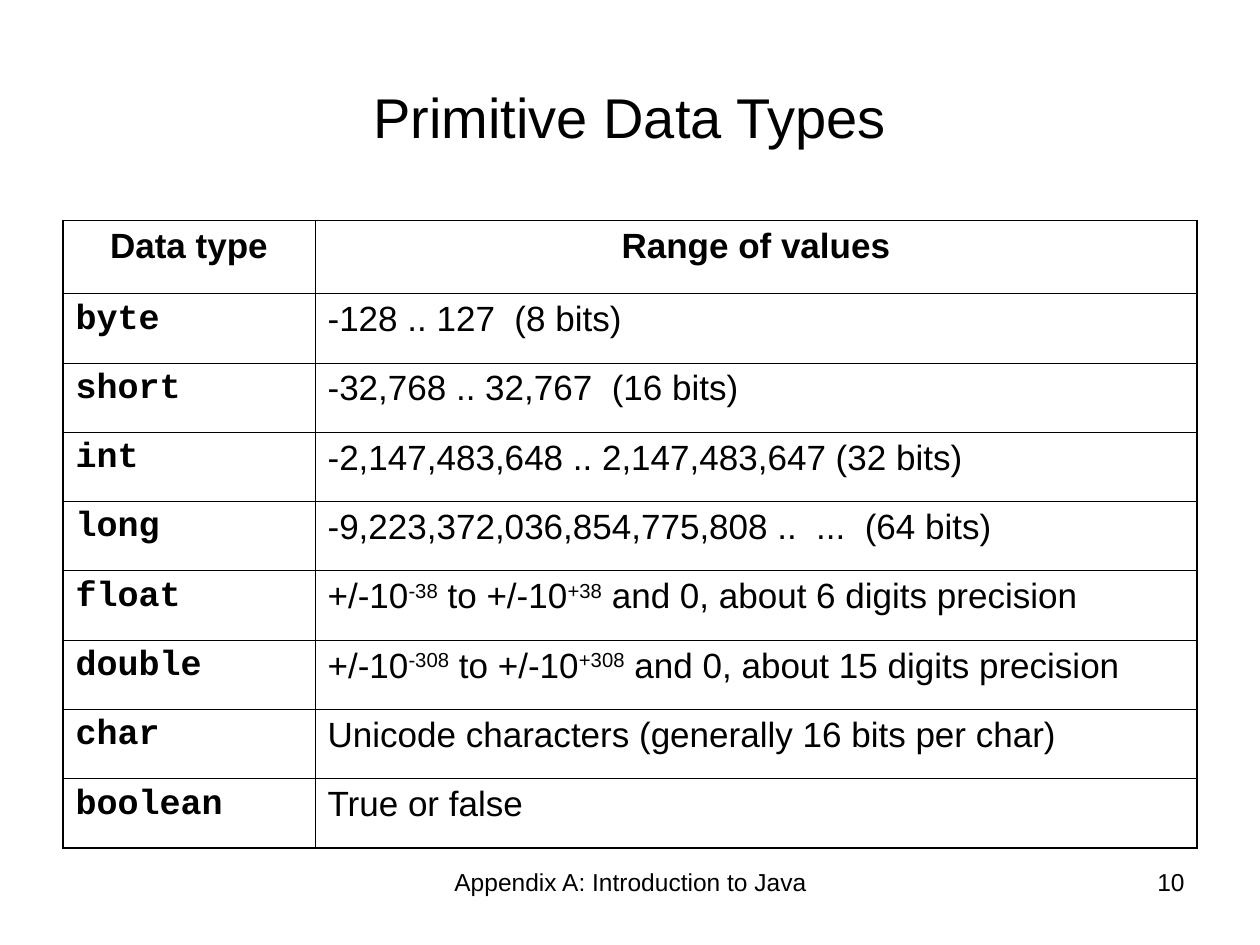
from dataclasses import dataclass

from lxml.etree import SubElement
from pptx import Presentation
from pptx.dml.color import RGBColor
from pptx.enum.text import MSO_ANCHOR, PP_ALIGN
from pptx.oxml.ns import qn
from pptx.util import Inches, Pt


@dataclass(frozen=True)
class Theme:
    ink: str = "000000"
    paper: str = "FFFFFF"
    body_font: str = "Arial"
    code_font: str = "Courier New"
    title_size: int = 32
    table_size: int = 20
    footer_size: int = 14
    outer_line: float = 1.08
    inner_line: float = 0.45


THEME = Theme()
HEADINGS = ("Data type", "Range of values")
# Text between carets is superscript.
DATA_TYPES = [
    ("byte", "-128 .. 127  (8 bits)"),
    ("short", "-32,768 .. 32,767  (16 bits)"),
    ("int", "-2,147,483,648 .. 2,147,483,647 (32 bits)"),
    ("long", "-9,223,372,036,854,775,808 ..  ...  (64 bits)"),
    ("float", "+/-10^-38^ to +/-10^+38^ and 0, about 6 digits precision"),
    ("double", "+/-10^-308^ to +/-10^+308^ and 0, about 15 digits precision"),
    ("char", "Unicode characters (generally 16 bits per char)"),
    ("boolean", "True or false"),
]


def write_text(frame, text, *, size, font=THEME.body_font, bold=False, align=PP_ALIGN.CENTER):
    """Fill the first paragraph; every second part between carets is raised."""
    para = frame.paragraphs[0]
    para.alignment = align
    for index, part in enumerate(text.split("^")):
        span = para.add_run()
        span.text = part
        span.font.name = font
        span.font.size = Pt(size)
        span.font.bold = bold
        span.font.color.rgb = RGBColor.from_string(THEME.ink)
        if index % 2:
            span._r.get_or_add_rPr().set("baseline", "30000")


def add_text(page, text, left, top, width, height, *, anchor=MSO_ANCHOR.TOP, **text_format):
    box = page.shapes.add_textbox(Inches(left), Inches(top), Inches(width), Inches(height))
    frame = box.text_frame
    frame.word_wrap = True
    frame.vertical_anchor = anchor
    write_text(frame, text, **text_format)


def set_borders(cell, outer_sides):
    """Draw all four borders, with the heavier line on the table's outer sides."""
    properties = cell._tc.get_or_add_tcPr()
    for side in "LRTB":
        weight = THEME.outer_line if side in outer_sides else THEME.inner_line
        line = SubElement(properties, qn(f"a:ln{side}"), w=str(Pt(weight)))
        fill = SubElement(line, qn("a:solidFill"))
        SubElement(fill, qn("a:srgbClr"), val=THEME.ink)


def add_type_table(page):
    rows = [HEADINGS, *DATA_TYPES]
    last_row = len(rows) - 1
    frame = page.shapes.add_table(
        len(rows), 2, Inches(0.5), Inches(1.75), Inches(9), Inches(4.98))
    table = frame.table
    table.first_row = False
    table.horz_banding = False
    for column, width in zip(table.columns, (2, 7)):
        column.width = Inches(width)
    for row_index, values in enumerate(rows):
        is_heading = row_index == 0
        table.rows[row_index].height = Inches(0.58 if is_heading else 0.55)
        for column_index, text in enumerate(values):
            is_type = column_index == 0
            cell = table.cell(row_index, column_index)
            outer_sides = "L" if is_type else "R"
            outer_sides += {0: "T", last_row: "B"}.get(row_index, "")
            set_borders(cell, outer_sides)
            cell.fill.background()
            cell.margin_left = cell.margin_right = Inches(0.1)
            cell.margin_top = cell.margin_bottom = Inches(0.05)
            write_text(
                cell.text_frame, text, size=THEME.table_size,
                font=THEME.code_font if is_type and not is_heading else THEME.body_font,
                bold=is_type or is_heading,
                align=PP_ALIGN.CENTER if is_heading else PP_ALIGN.JUSTIFY)


def main():
    deck = Presentation()
    deck.slide_width, deck.slide_height = Inches(10), Inches(7.5)
    page = deck.slides.add_slide(deck.slide_layouts[6])
    background = page.background.fill
    background.solid()
    background.fore_color.rgb = RGBColor.from_string(THEME.paper)

    add_text(page, "Appendix A: Introduction to Java", 3.42, 6.83, 3.17, 0.52,
             size=THEME.footer_size)
    add_text(page, "10", 7.17, 6.83, 2.33, 0.52,
             size=THEME.footer_size, align=PP_ALIGN.RIGHT)
    add_text(page, "Primitive Data Types", 0.5, 0.3, 9, 1.25,
             size=THEME.title_size, anchor=MSO_ANCHOR.MIDDLE)
    add_type_table(page)
    deck.save("out.pptx")


if __name__ == "__main__":
    main()
